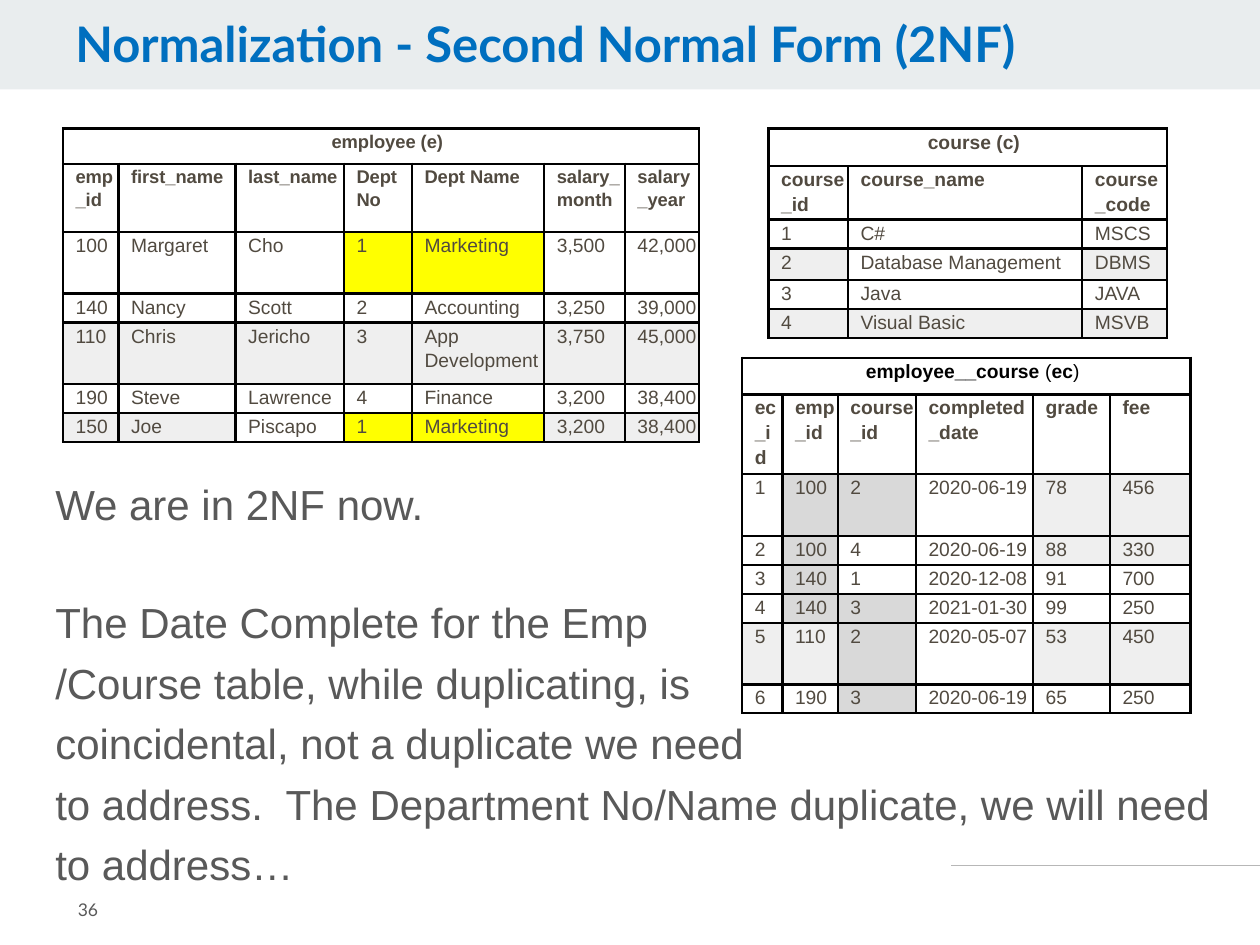
from lxml import etree
from pptx import Presentation
from pptx.dml.color import RGBColor
from pptx.enum.shapes import MSO_CONNECTOR as Connector, MSO_SHAPE as Shape
from pptx.enum.text import MSO_ANCHOR as Anchor, PP_ALIGN as Align
from pptx.oxml import parse_xml
from pptx.oxml.ns import nsdecls, qn
from pptx.util import Inches, Pt

COLORS = {
    "band": "E9EDEE", "title": "006FBF", "body": "595959", "rule": "B7B7B7",
    "cell": "514A40", "black": "000000",
    "light": "EFEFEF", "mid": "D9D9D9", "yellow": "FFFF00",
}
FILL_CODES = {"l": "light", "m": "mid", "y": "yellow"}


def style(paragraph, size, color, font="Arial", bold=False, spacing=None):
    paragraph.font.size = Pt(size)
    paragraph.font.name = font
    paragraph.font.bold = bold
    paragraph.font.color.rgb = RGBColor.from_string(COLORS[color])
    if spacing:
        paragraph.line_spacing = spacing


def add_text(left, top, width, height, paragraphs, size, color, **look):
    frame = slide.shapes.add_textbox(
        Inches(left), Inches(top), Inches(width), Inches(height)).text_frame
    frame.word_wrap = True
    for i, text in enumerate(paragraphs):
        paragraph = frame.add_paragraph() if i else frame.paragraphs[0]
        paragraph.text = text
        style(paragraph, size, color, **look)
    return frame


prs = Presentation()
prs.slide_width, prs.slide_height = Inches(10), Inches(7.5)
slide = prs.slides.add_slide(prs.slide_layouts[6])

# Footer rule and title band
rule = slide.shapes.add_connector(
    Connector.STRAIGHT, Inches(7.55), Inches(6.87), Inches(10), Inches(6.87))
rule.line.color.rgb = RGBColor.from_string(COLORS["rule"])
rule.line.width = Pt(0.75)
etree.SubElement(rule._element.spPr, qn("a:effectLst"))

band = slide.shapes.add_shape(Shape.RECTANGLE, 0, 0, Inches(10), Inches(0.71))
band.shadow.inherit = False
band.fill.solid()
band.fill.fore_color.rgb = RGBColor.from_string(COLORS["band"])
band.line.fill.background()

# Commentary, title and page number
commentary = add_text(0.34, 3.67, 9.42, 3.35, [
    "We are in 2NF now.",
    "The Date Complete for the Emp\v/Course table, while duplicating, is\v"
    "coincidental, not a duplicate we need\v"
    "to address.  The Department No/Name duplicate, we will need to address…",
], 24, "body", spacing=1.2)
commentary.paragraphs[1].space_before = Pt(33)

add_text(0.5, 0.11, 7.88, 0.55, ["Normalization - Second Normal Form (2NF)"],
         28, "title", font="Lato", bold=True, spacing=0.9)

page_number = add_text(0.52, 6.93, 1.23, 0.57, ["36"], 10, "body", font="Lato")
page_number.vertical_anchor = Anchor.MIDDLE

# Tables: each row is its cell texts and, where shaded, one fill code per column
TABLES = [
    {
        "at": (5.89, 2.84), "head_size": 11, "title_color": "black",
        "title": [("employee__course ", True), ("(", False), ("ec", True), (")", False)],
        "widths": [0.32, 0.44, 0.62, 0.93, 0.61, 0.64],
        "heights": [0.29, 0.54, 0.49, 0.23, 0.23, 0.23, 0.49, 0.23],
        "rows": [
            ("ec_id|emp_id|course_id|completed_date|grade|fee", ""),
            ("1|100|2|2020-06-19|78|456", ".mm.ll"),
            ("2|100|4|2020-06-19|88|330", ".m..ll"),
            ("3|140|1|2020-12-08|91|700", ".m...."),
            ("4|140|3|2021-01-30|99|250", ".mm..."),
            ("5|110|2|2020-05-07|53|450", "llm.ll"),
            ("6|190|3|2020-06-19|65|250", "..m..."),
        ],
    },
    {
        "at": (6.1, 1.02), "head_size": 11, "title_color": "cell",
        "title": [("course (c)", True)],
        "widths": [0.63, 1.86, 0.67],
        "heights": [0.3, 0.4, 0.23, 0.25, 0.23, 0.23],
        "rows": [
            ("course_id|course_name|course_code", ""),
            ("1|C#|MSCS", ""),
            ("2|Database Management|DBMS", "l.l"),
            ("3|Java|JAVA", ""),
            ("4|Visual Basic|MSVB", "lll"),
        ],
    },
    {
        "at": (0.5, 1.02), "head_size": 10.5, "title_color": "cell",
        "title": [("employee (e)", True)],
        "widths": [0.44, 0.93, 0.86, 0.54, 1.05, 0.64, 0.59],
        "heights": [0.28, 0.54, 0.49, 0.23, 0.49, 0.23, 0.23],
        "rows": [
            ("emp_id|first_name|last_name|Dept No|Dept Name|salary_month|salary_year", ""),
            ("100|Margaret|Cho|1|Marketing|3,500|42,000", "...yy.."),
            ("140|Nancy|Scott|2|Accounting|3,250|39,000", ""),
            ("110|Chris|Jericho|3|App Development|3,750|45,000", "lllllll"),
            ("190|Steve|Lawrence|4|Finance|3,200|38,400", ""),
            ("150|Joe|Piscapo|1|Marketing|3,200|38,400", "ll.yyll"),
        ],
    },
]

for data in TABLES:
    widths, heights = data["widths"], data["heights"]
    left, top = data["at"]
    table = slide.shapes.add_table(
        len(heights), len(widths), Inches(left), Inches(top),
        Inches(sum(widths)), Inches(sum(heights))).table
    table.first_row = table.horz_banding = False
    for column, width in zip(table.columns, widths):
        column.width = Inches(width)
    for row, height in zip(table.rows, heights):
        row.height = Inches(height)

    # Title row
    title_cell = table.cell(0, 0)
    title_cell.merge(table.cell(0, len(widths) - 1))
    heading = title_cell.text_frame.paragraphs[0]
    heading.alignment = Align.CENTER
    for text, bold in data["title"]:
        run = heading.add_run()
        run.text = text
        run.font.bold = bold

    # Header and data rows
    for r, (texts, _) in enumerate(data["rows"], start=1):
        for c, text in enumerate(texts.split("|")):
            table.cell(r, c).text = text

    # Fonts, fills and borders
    fills = [""] + [codes for _, codes in data["rows"]]
    for r, codes in enumerate(fills):
        for c in range(len(widths)):
            cell = table.cell(r, c)
            cell.margin_left = Inches(0.1)
            cell.margin_top = cell.margin_right = cell.margin_bottom = 0
            style(cell.text_frame.paragraphs[0],
                  data["head_size"] if r < 2 else 11,
                  data["title_color"] if r == 0 else "cell",
                  bold=r < 2, spacing=1.15)
            code = codes[c] if codes else "."
            if code in FILL_CODES:
                cell.fill.solid()
                cell.fill.fore_color.rgb = RGBColor.from_string(COLORS[FILL_CODES[code]])
            else:
                cell.fill.background()
            for i, side in enumerate(("lnL", "lnR", "lnT", "lnB")):
                cell._tc.tcPr.insert(i, parse_xml(
                    f'<a:{side} {nsdecls("a")} w="{Pt(1.5)}"><a:solidFill>'
                    f'<a:srgbClr val="{COLORS["black"]}"/></a:solidFill></a:{side}>'))

prs.save("out.pptx")
